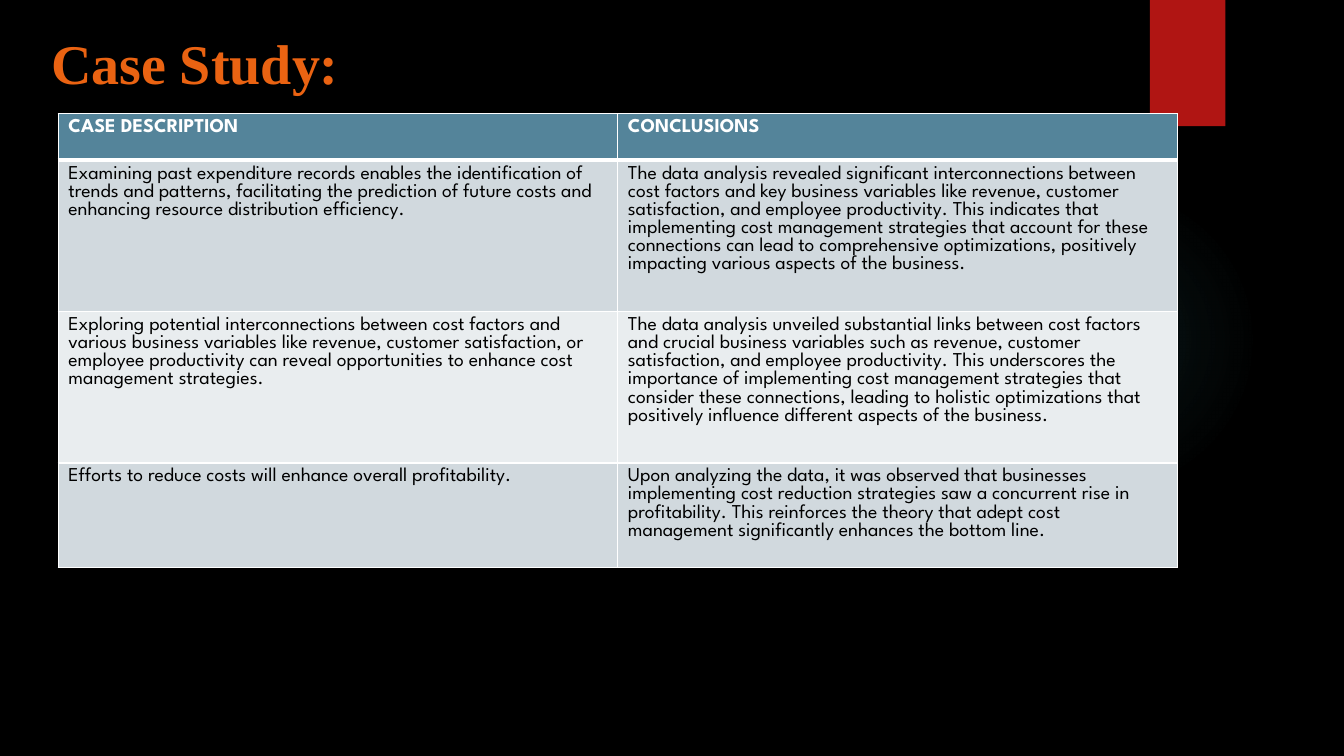
from dataclasses import dataclass

from pptx import Presentation
from pptx.dml.color import RGBColor
from pptx.enum.shapes import MSO_SHAPE
from pptx.enum.text import MSO_ANCHOR
from pptx.oxml import parse_xml
from pptx.oxml.ns import nsdecls
from pptx.util import Cm, Pt

OVAL = MSO_SHAPE.OVAL
RECT = MSO_SHAPE.RECTANGLE
MIDDLE = MSO_ANCHOR.MIDDLE


@dataclass(frozen=True)
class Theme:
    back: str = "000000"
    glow: str = "50B9C1"
    tab: str = "B01513"
    title: str = "EA6312"
    head: str = "54849A"
    odd: str = "D1D9DE"
    even: str = "E9EDEF"
    light: str = "FFFFFF"
    dark: str = "000000"
    serif: str = "Times New Roman"
    sans: str = "League Spartan"
    big: int = 40
    small: int = 14


THEME = Theme()

ROWS = [
    ("CASE DESCRIPTION", "CONCLUSIONS"),
    ("Examining past expenditure records enables the identification of trends "
     "and patterns, facilitating the prediction of future costs and enhancing "
     "resource distribution efficiency.",
     "The data analysis revealed significant interconnections between cost "
     "factors and key business variables like revenue, customer satisfaction, "
     "and employee productivity. This indicates that implementing cost "
     "management strategies that account for these connections can lead to "
     "comprehensive optimizations, positively impacting various aspects of "
     "the business."),
    ("Exploring potential interconnections between cost factors and various "
     "business variables like revenue, customer satisfaction, or employee "
     "productivity can reveal opportunities to enhance cost management "
     "strategies.",
     "The data analysis unveiled substantial links between cost factors and "
     "crucial business variables such as revenue, customer satisfaction, and "
     "employee productivity. This underscores the importance of implementing "
     "cost management strategies that consider these connections, leading to "
     "holistic optimizations that positively influence different aspects of "
     "the business."),
    ("Efforts to reduce costs will enhance overall profitability.",
     "Upon analyzing the data, it was observed that businesses implementing "
     "cost reduction strategies saw a concurrent rise in profitability. This "
     "reinforces the theory that adept cost management significantly enhances "
     "the bottom line."),
]
HEIGHTS = [1.17, 3.46, 3.46, 2.54]
WIDTH = 14.1


def rgb(code):
    return RGBColor.from_string(code)


def style(frame, face, size, color, bold):
    for para in frame.paragraphs:
        for run in para.runs:
            font = run.font
            font.name, font.size, font.bold = face, Pt(size), bold
            font.color.rgb = rgb(color)


def add_form(slide, kind, left, top, width, height):
    form = slide.shapes.add_shape(kind, Cm(left), Cm(top), Cm(width), Cm(height))
    form.shadow.inherit = False
    form.line.fill.background()
    return form


def add_glow(slide):
    form = add_form(slide, OVAL, 23.9, 4.65, 7.82, 7.82)
    stops = "".join(
        f'<a:gs pos="{pos * 1000}"><a:srgbClr val="{THEME.glow}">'
        f'<a:alpha val="{alpha * 1000}"/></a:srgbClr></a:gs>'
        for pos, alpha in [(0, 7), (36, 6), (69, 0)])
    fill = parse_xml(
        f'<a:gradFill {nsdecls("a")}><a:gsLst>{stops}</a:gsLst>'
        '<a:path path="circle"><a:fillToRect l="50000" t="50000" r="50000" '
        'b="50000"/></a:path></a:gradFill>')
    # The fill comes right after the geometry
    form.element.spPr.insert(2, fill)


def add_tab(slide):
    form = add_form(slide, RECT, 28.98, 0, 1.9, 3.18)
    form.fill.solid()
    form.fill.fore_color.rgb = rgb(THEME.tab)
    shade = parse_xml(
        f'<a:outerShdw {nsdecls("a")} blurRad="{Pt(3)}" dist="{Pt(2)}" '
        'dir="5400000" rotWithShape="0"><a:srgbClr val="000000">'
        '<a:alpha val="45000"/></a:srgbClr></a:outerShdw>')
    form.element.spPr[-1].append(shade)


def add_title(slide, text):
    box = slide.shapes.add_textbox(Cm(1.04), Cm(0), Cm(23.93), Cm(3.12))
    frame = box.text_frame
    frame.word_wrap = True
    frame.vertical_anchor = MIDDLE
    frame.text = text
    style(frame, THEME.serif, THEME.big, THEME.title, True)


def set_edge(cell, side, width):
    line = parse_xml(
        f'<a:ln{side} {nsdecls("a")} w="{Pt(width)}"><a:solidFill>'
        f'<a:srgbClr val="{THEME.light}"/></a:solidFill></a:ln{side}>')
    cell._tc.get_or_add_tcPr().append(line)


def fill_cell(cell, row, text):
    head = row == 0
    # Borders go before the fill; a thick rule parts the header from the body
    for side in "LRTB":
        rule = (row, side) in [(0, "B"), (1, "T")]
        set_edge(cell, side, 3 if rule else 1)
    cell.fill.solid()
    band = THEME.odd if row % 2 else THEME.even
    cell.fill.fore_color.rgb = rgb(THEME.head if head else band)
    cell.text_frame.text = text
    ink = THEME.light if head else THEME.dark
    style(cell.text_frame, THEME.sans, THEME.small, ink, head)


def add_grid(slide):
    count = len(ROWS[0])
    grid = slide.shapes.add_table(
        len(ROWS), count, Cm(1.47), Cm(2.87),
        Cm(WIDTH * count), Cm(sum(HEIGHTS))).table
    grid.horz_banding = False
    for col in grid.columns:
        col.width = Cm(WIDTH)
    for row, texts in enumerate(ROWS):
        grid.rows[row].height = Cm(HEIGHTS[row])
        for col, text in enumerate(texts):
            fill_cell(grid.cell(row, col), row, text)


def main():
    deck = Presentation()
    deck.slide_width, deck.slide_height = Cm(33.87), Cm(19.05)
    slide = deck.slides.add_slide(deck.slide_layouts[6])

    # Backdrop
    slide.background.fill.solid()
    slide.background.fill.fore_color.rgb = rgb(THEME.back)
    add_glow(slide)
    add_tab(slide)

    # Content
    add_title(slide, "Case Study:")
    add_grid(slide)
    deck.save("out.pptx")


if __name__ == "__main__":
    main()
